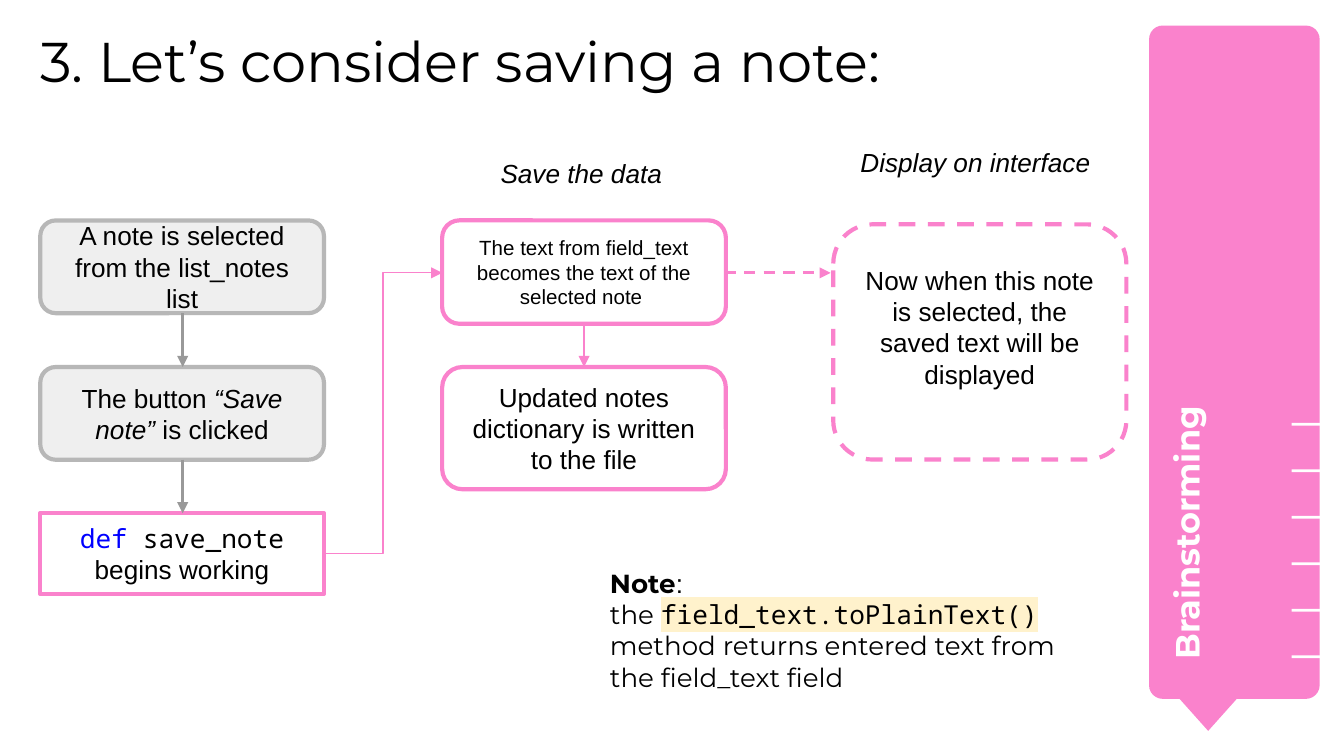
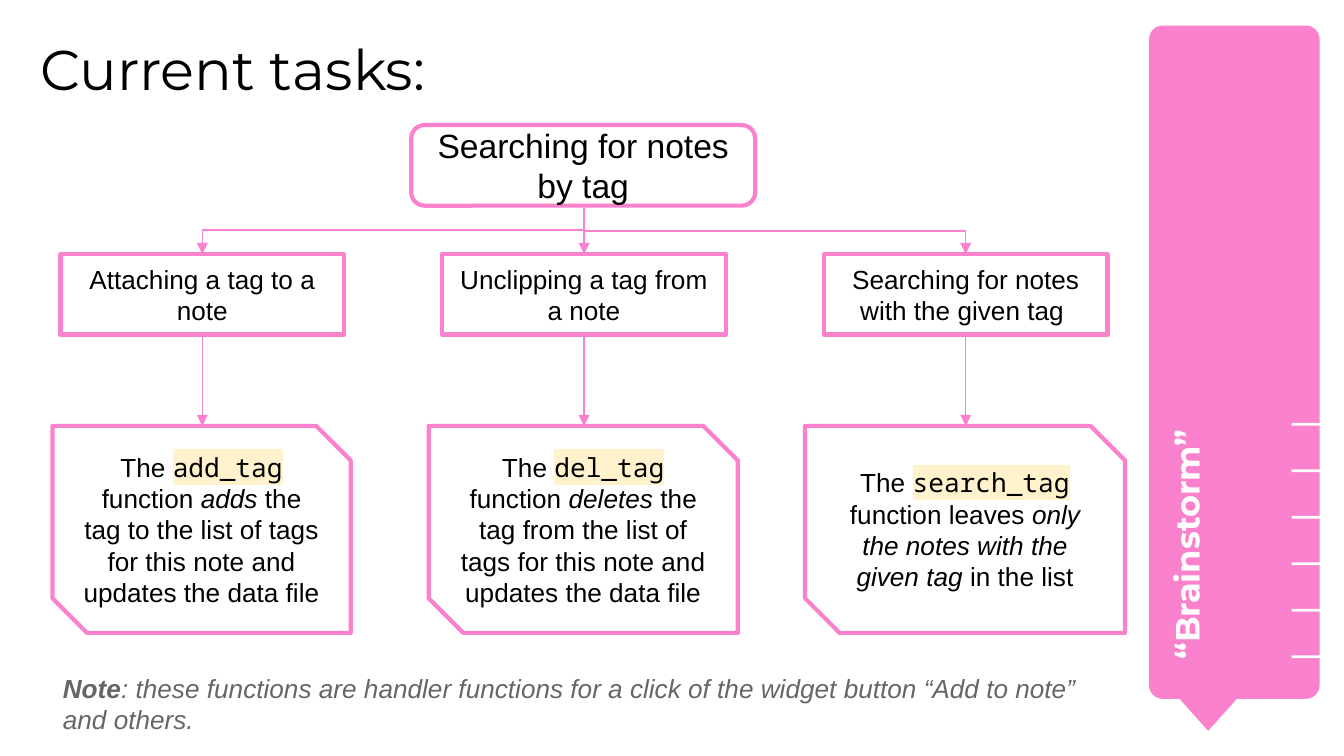
from lxml import etree
from pptx import Presentation
from pptx.dml import color
from pptx.enum import dml, shapes, text
from pptx.oxml import ns
from pptx.util import Pt

PINK, WHITE, BLACK = "FA82CC", "FFFFFF", "000000"
GREY, PALE, ARROW_GREY = "B7B7B7", "EFEFEF", "999999"
FORM = shapes.MSO_SHAPE
STRAIGHT, ELBOW = shapes.MSO_CONNECTOR.STRAIGHT, shapes.MSO_CONNECTOR.ELBOW
CENTER, LEFT = text.PP_ALIGN.CENTER, text.PP_ALIGN.LEFT

# style: font, colour, bold, italic, highlight
STYLES = {
    "plain": ("Arial", BLACK, False, False, None),
    "italic": ("Arial", BLACK, False, True, None),
    "title": ("Montserrat", BLACK, False, False, None),
    "strong": ("Montserrat", BLACK, True, False, None),
    "band": ("Montserrat", WHITE, True, False, None),
    "keyword": ("Noto Sans Mono", "0000FF", False, False, None),
    "name": ("Noto Sans Mono", BLACK, False, False, None),
    "code": ("Noto Sans Mono", BLACK, False, False, "FFF2CC"),
    "remark": ("Arial", "666666", False, True, None),
    "remark head": ("Arial", "666666", True, True, None),
}


def paint(target, hex_color):
    if hasattr(target, "solid"):
        target.solid()
        target = target.fore_color
    target.rgb = color.RGBColor.from_string(hex_color)


def write(shape, paragraphs, size, align=LEFT, anchor=text.MSO_ANCHOR.TOP, inset=7.2):
    frame = shape.text_frame
    frame.word_wrap = True
    frame.auto_size = text.MSO_AUTO_SIZE.NONE
    frame.vertical_anchor = anchor
    frame.margin_left = frame.margin_right = Pt(inset)
    frame.margin_top = frame.margin_bottom = Pt(inset)
    for index, pieces in enumerate(paragraphs):
        paragraph = frame.add_paragraph() if index else frame.paragraphs[0]
        paragraph.alignment = align
        for words, style in pieces:
            font_name, font_color, bold, italic, highlight = STYLES[style]
            run = paragraph.add_run()
            run.text = words
            run.font.name, run.font.size = font_name, Pt(size)
            run.font.bold, run.font.italic = bold, italic
            paint(run.font.color, font_color)
            if highlight:
                marker = etree.Element(ns.qn("a:highlight"))
                etree.SubElement(marker, ns.qn("a:srgbClr"), val=highlight)
                run.font._element.find(ns.qn("a:solidFill")).addnext(marker)


saving_boxes = [
    (FORM.RECTANGLE, (21.6, 275, 152, 43.2), WHITE, PINK, 14,
     [("def", "keyword"), (" save_note ", "name"), ("begins working", "plain")]),
    (FORM.ROUNDED_RECTANGLE, (21.6, 196.6, 152, 49.7), PALE, GREY, 14,
     [("The button ", "plain"), ("“Save note” ", "italic"), ("is clicked", "plain")]),
    (FORM.ROUNDED_RECTANGLE, (21.6, 118.1, 152, 49.7), PALE, GREY, 14,
     [("A note is selected from the list_notes list", "plain")]),
    (FORM.FLOWCHART_ALTERNATE_PROCESS, (236.9, 118.1, 152, 55.4), WHITE, PINK, 11,
     [("The text from field_text becomes the text of the selected note ", "plain")]),
    (FORM.FLOWCHART_ALTERNATE_PROCESS, (236.9, 196.6, 152, 65.5), WHITE, PINK, 14,
     [("Updated notes dictionary is written to the file", "plain")]),
    (FORM.FLOWCHART_ALTERNATE_PROCESS, (446.4, 120.2, 157, 126), WHITE, PINK, 14,
     [("Now when this note is selected, the saved text will be displayed", "plain")]),
]
saving_arrows = [
    (STRAIGHT, (97.9, 246.3, 97.9, 275), ARROW_GREY, 1.5),
    (STRAIGHT, (97.9, 167.8, 97.9, 196.6), ARROW_GREY, 1.5),
    (STRAIGHT, (312.9, 173.5, 312.9, 196.6), PINK, 0.75),
    (ELBOW, (173.5, 296.6, 236.9, 146.2), PINK, 0.75),
    (STRAIGHT, (388.1, 146.2, 445, 146.2), PINK, 1.5),
]
saving_labels = [
    ((319.7, 296.6, 278.6, 98.6), LEFT,
     [[("Note", "strong"), (":", "plain")],
      [("the ", "title"), ("field_text.toPlainText()", "code"),
       (" method returns entered text from the field_text field", "title")]]),
    ((236.2, 77, 150.5, 31.7), CENTER, [[("Save the data", "italic")]]),
    ((449.3, 71.3, 150.5, 31.7), CENTER, [[("Display on interface ", "italic")]]),
]

task_boxes = [
    (FORM.ROUNDED_RECTANGLE, (220.3, 67, 184.3, 43.2), WHITE, PINK, 18,
     [("Searching for notes by tag", "plain")]),
]
task_arrows = [
    (STRAIGHT, (312.9, 110.2, 312.9, 136.1), PINK, 0.75),
    (ELBOW, (197.7, 20.9, 223.6, 225.4), PINK, 0.75),
    (ELBOW, (312.9, 123.8, 517.4, 136.1), PINK, 0.75),
]
tasks = [
    ("Attaching a tag to a note", 159.8, "add_tag", " function ", "adds ",
     "the tag to the list of tags for this note and updates the data file"),
    ("Unclipping a tag from a note", 165.6, "del_tag", " function ", "deletes ",
     "the tag from the list of tags for this note and updates the data file"),
    ("Searching for notes with the given tag ", 171.4, "search_tag", " function leaves ",
     "only the notes with the given tag", " in the list"),
]
for column, (task, width, function, verb, action, rest) in enumerate(tasks):
    left = 32.4 + 204.5 * column
    middle = left + 76
    task_boxes += [
        (FORM.RECTANGLE, (left, 136.1, 152, 43.2), WHITE, PINK, 14, [(task, "plain")]),
        (FORM.SNIP_2_DIAG_RECTANGLE, (28.1 + 201.6 * column, 228.2, width, 110.9),
         WHITE, PINK, 14,
         [("The ", "plain"), (function, "code"), (verb, "plain"),
          (action, "italic"), (rest, "plain")]),
    ]
    task_arrows.append((STRAIGHT, (middle, 179.3, middle, 228.2), PINK, 0.75))
task_labels = [
    ((26.6, 352.8, 576.7, 43.2), LEFT,
     [[("Note", "remark head"),
       (": these functions are handler functions for a click of the widget button "
        "“Add to note” and others.", "remark")]]),
]

pages = [
    ("3. Let’s consider saving a note:", 14.4, "Brainstorming",
     saving_boxes, saving_arrows, saving_labels),
    ("Current tasks:", 18.7, "“Brainstorm”", task_boxes, task_arrows, task_labels),
]

deck = Presentation()
deck.slide_width, deck.slide_height = Pt(720), Pt(405)
drawn = []
for heading, heading_top, band_name, boxes, arrows, labels in pages:
    slide = deck.slides.add_slide(deck.slide_layouts[5])
    title = slide.shapes.title
    title.left, title.top, title.width, title.height = map(Pt, (21.6, heading_top, 581, 49.7))
    write(title, [[(heading, "title")]], 30, inset=0)

    bookmark = slide.shapes.add_group_shape()
    band = bookmark.shapes.add_shape(
        FORM.ROUNDED_RECTANGLE, *map(Pt, (615.6, 13.7, 91.4, 360.7)))
    band.adjustments[0] = 0.08
    pointer = bookmark.shapes.add_shape(
        FORM.FLOWCHART_MERGE, *map(Pt, (623.5, 365, 47.5, 26.6)))
    ticks = [slide.shapes.add_shape(FORM.RECTANGLE, Pt(692), Pt(226.6 + 24.9 * row),
                                    Pt(15.1), Pt(1.5)) for row in range(6)]
    for part in [band, pointer] + ticks:
        part.shadow.inherit = False
        paint(part.fill, WHITE if part in ticks else PINK)
        part.line.fill.background()
    section = slide.shapes.add_textbox(*map(Pt, (514.1, 208.8, 254.9, 48.2)))
    section.rotation = 270
    write(section, [[(band_name, "band")]], 18)

    steps = []
    for form, place, fill, outline, size, pieces in boxes:
        step = slide.shapes.add_shape(form, *map(Pt, place))
        step.shadow.inherit = False
        paint(step.fill, fill)
        paint(step.line.fill, outline)
        step.line.width = Pt(2.25)
        write(step, [pieces], size, CENTER, text.MSO_ANCHOR.MIDDLE)
        steps.append(step)

    links = []
    for route, ends, line_color, weight in arrows:
        link = slide.shapes.add_connector(route, *map(Pt, ends))
        paint(link.line.fill, line_color)
        link.line.width = Pt(weight)
        etree.SubElement(link.line._get_or_add_ln(), ns.qn("a:tailEnd"), type="triangle")
        etree.SubElement(link._element.spPr, ns.qn("a:effectLst"))
        links.append(link)

    for place, align, paragraphs in labels:
        label = slide.shapes.add_textbox(*map(Pt, place))
        write(label, paragraphs, 14, align)
    drawn.append((steps, links))

(saving_steps, saving_links), (_, task_links) = drawn
display_step = saving_steps[-1]
display_step.text_frame.margin_bottom = Pt(23.4)
for dashed in (display_step, saving_links[-1]):
    dashed.line.dash_style = dml.MSO_LINE.DASH

to_attaching, to_searching = task_links[1:3]
to_attaching._element.spPr.find(ns.qn("a:xfrm")).set("rot", "5400000")
to_searching._element.spPr.find(ns.qn("a:prstGeom")).set("prst", "bentConnector2")

deck.save("out.pptx")
